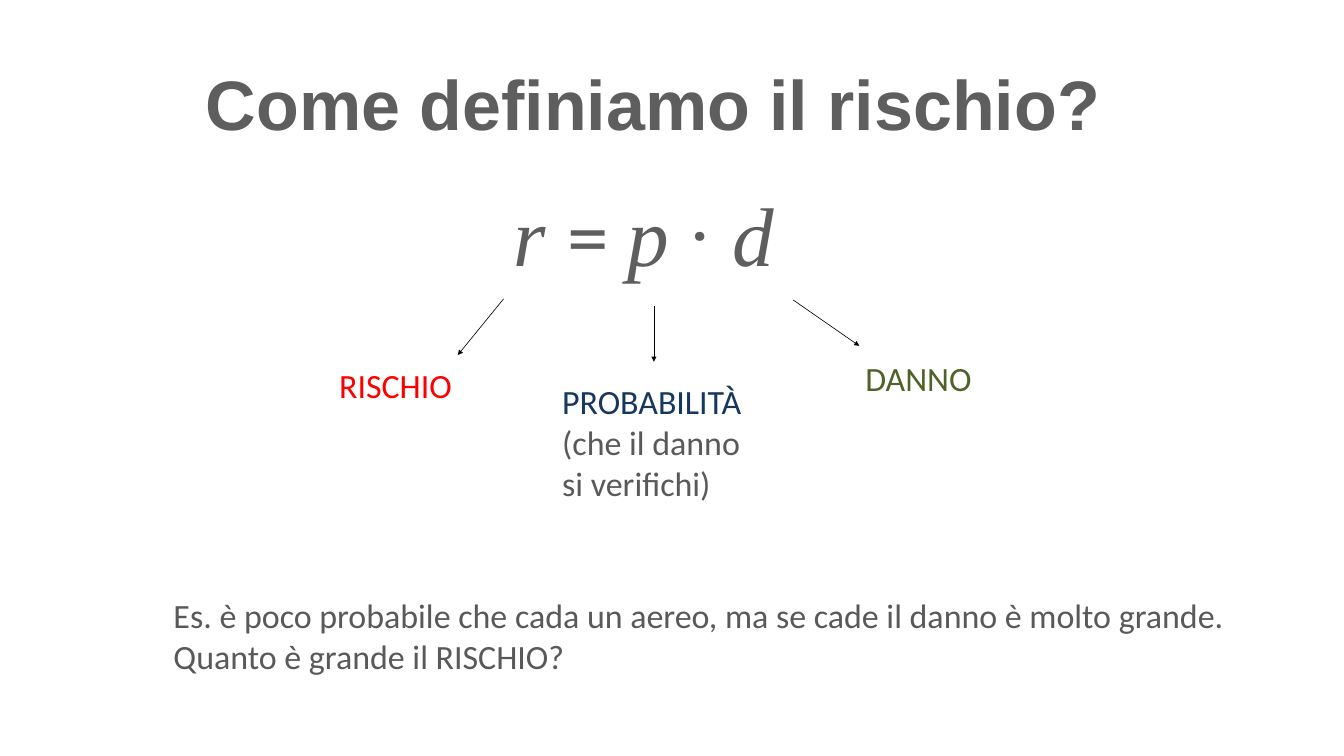
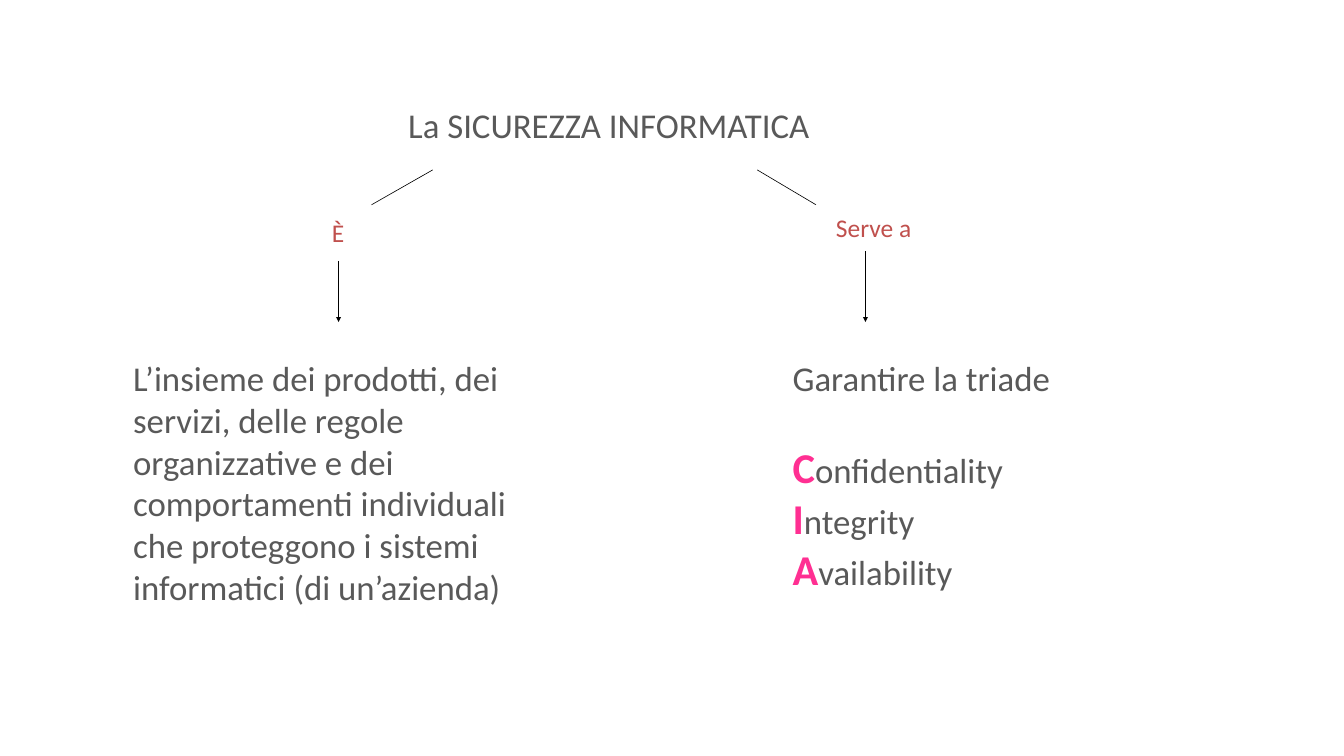
from lxml import etree
from pptx import Presentation
from pptx.dml.color import RGBColor
from pptx.enum.shapes import MSO_CONNECTOR
from pptx.enum.text import MSO_AUTO_SIZE
from pptx.oxml.ns import qn
from pptx.util import Pt

PX = 9144  # EMU per px, 100 px to the inch
GREY = RGBColor(0x59, 0x59, 0x59)
SLATE = RGBColor(0x5E, 0x5E, 0x5E)
BLACK = RGBColor(0, 0, 0)
RED = RGBColor(0xFF, 0, 0)
NAVY = RGBColor(0x17, 0x37, 0x5E)
GREEN = RGBColor(0x4F, 0x62, 0x28)
BRICK = RGBColor(0xC0, 0x50, 0x4D)
PINK = RGBColor(0xFF, 0x2F, 0x92)
SANS = "Calibri"
STRAIGHT = MSO_CONNECTOR.STRAIGHT
GROW = MSO_AUTO_SIZE.SHAPE_TO_FIT_TEXT


def write(slide, box, *lines, pads=(10, 5, 10, 5)):
    """Add a text box; a line is a list of (text, size, colour, font, bold, italic)."""
    frame = slide.shapes.add_textbox(*(n * PX for n in box)).text_frame
    frame.word_wrap = True
    frame.auto_size = GROW
    (frame.margin_left, frame.margin_top,
     frame.margin_right, frame.margin_bottom) = (n * PX for n in pads)
    for i, line in enumerate(lines):
        para = frame.paragraphs[0] if i == 0 else frame.add_paragraph()
        for text, size, color, name, bold, slant in line:
            run = para.add_run()
            run.text = text
            font = run.font
            font.size, font.name = Pt(size), name
            font.bold, font.italic = bold, slant
            font.color.rgb = color
    return frame


def draw(slide, ends, arrow):
    line = slide.shapes.add_connector(STRAIGHT, *(n * PX for n in ends))
    line.line.color.rgb = BLACK
    line.line.width = Pt(0.75)
    props = line._element.spPr
    if arrow:
        etree.SubElement(props.find(qn("a:ln")), qn("a:tailEnd"), type="triangle")
    etree.SubElement(props, qn("a:effectLst"))


deck = Presentation()
deck.slide_width, deck.slide_height = 2199 * PX, 1237 * PX
blank = deck.slide_layouts[6]

# Risk formula
risk = deck.slides.add_slide(blank)
write(risk, (337, 88, 1525, 183),
      [("Come definiamo il rischio?", 82.5, SLATE, "Arial", True, False)],
      pads=(0, 11, 0, 0))
terms = [("r ", "Times New Roman", True), ("= ", SANS, False),
         ("p ", "Times New Roman", True), ("· ", "Roboto", False),
         ("d", "Times New Roman", True)]
write(risk, (840, 296, 461, 166),
      [(text, 98, SLATE, name, False, slant) for text, name, slant in terms],
      pads=(1, 4, 0, 0))

for ends in [(824, 489, 749, 581), (1070, 501, 1070, 592), (1298, 491, 1406, 566)]:
    draw(risk, ends, True)

notes = [
    ((545, 592, 242, 77), [("RISCHIO", RED)]),
    ((910, 618, 328, 212), [("PROBABILITÀ", NAVY), ("(che il danno si verifichi)", GREY)]),
    ((1406, 580, 242, 77), [("DANNO", GREEN)]),
    ((274, 968, 1842, 145), [("Es. è poco probabile che cada un aereo, ma se cade il danno "
                              "è molto grande. Quanto è grande il RISCHIO?", GREY)]),
]
for box, lines in notes:
    write(risk, box, *([(text, 40, color, SANS, False, False)] for text, color in lines))

# Computer security
safe = deck.slides.add_slide(blank)
labels = [
    ((658, 164, 700, 79), "La SICUREZZA INFORMATICA", 41, GREY),
    ((533, 351, 75, 61), "È", 30, BRICK),
    ((1358, 342, 205, 61), "Serve a", 30, BRICK),
    ((208, 579, 700, 424), "L’insieme dei prodotti, dei servizi, delle regole organizzative "
     "e dei comportamenti individuali che proteggono i sistemi informatici "
     "(di un’azienda)", 41, GREY),
]
for box, text, size, color in labels:
    write(safe, box, [(text, size, color, SANS, False, False)])

triad = [[(word[0], 50, PINK, SANS, True, False), (word[1:], 41, GREY, SANS, False, False)]
         for word in ("Confidentiality", "Integrity", "Availability")]
frame = write(safe, (1287, 579, 700, 401),
              [("Garantire la triade", 41, GREY, SANS, False, False)], *triad)
frame.paragraphs[1].space_before = Pt(50)

for ends, arrow in [((708, 278, 608, 335), False), ((554, 427, 554, 527), True),
                    ((1239, 278, 1335, 335), False), ((1416, 411, 1416, 527), True)]:
    draw(safe, ends, arrow)

deck.save("out.pptx")
